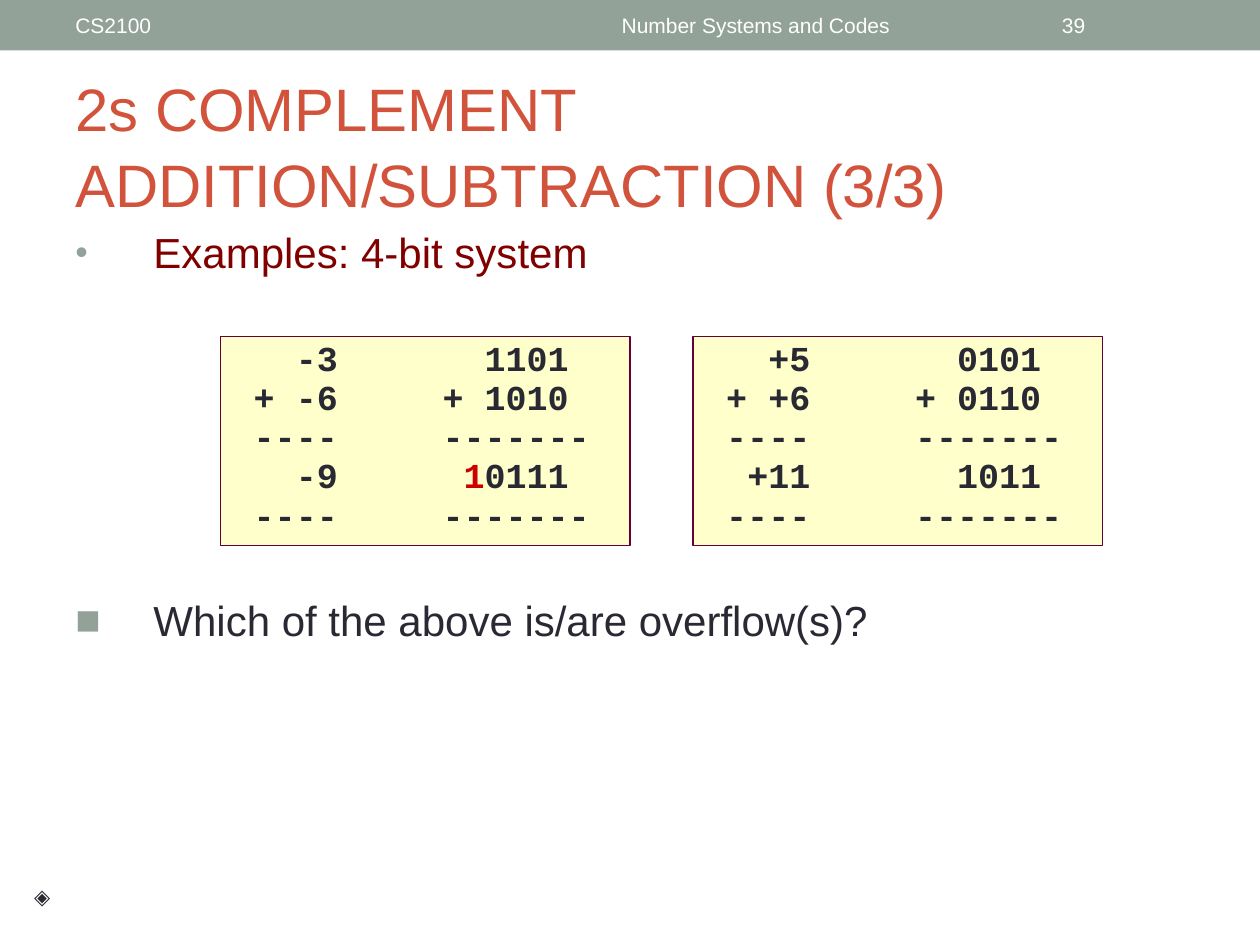
from lxml.etree import SubElement
from pptx import Presentation
from pptx.dml.color import RGBColor
from pptx.enum.shapes import MSO_SHAPE as SHAPE
from pptx.enum.text import MSO_ANCHOR as ANCHOR, PP_ALIGN as ALIGN
from pptx.oxml.ns import qn
from pptx.util import Inches, Pt

SAGE, INK, WHITE = "93A299", "292934", "FFFFFF"
CHAR = 1 / 6  # width in inches of one 20 pt Courier New character


def rgb(value):
    return RGBColor.from_string(value)


class SlideBuilder:
    sans = {"name": "Arial", "size": Pt(24), "bold": False}
    mono = {"name": "Courier New", "size": Pt(20), "bold": True}

    def __init__(self, prs):
        self.s = prs.slides.add_slide(prs.slide_layouts[6])

    def run(self, p, text, color, style):
        r = p.add_run()
        r.text = text
        for key, value in style.items():
            setattr(r.font, key, value)
        r.font.color.rgb = rgb(color)

    def frame(self, sp, anchor=ANCHOR.TOP, inset=None):
        tf = sp.text_frame
        tf.word_wrap = True
        tf.vertical_anchor = anchor
        if inset is not None:
            for side in ("left", "top", "right", "bottom"):
                setattr(tf, f"margin_{side}", Inches(inset))
        return tf

    def text(self, box, text, color, size, align=ALIGN.LEFT,
             anchor=ANCHOR.MIDDLE, inset=None, spacing=1.0):
        sp = self.s.shapes.add_textbox(*map(Inches, box))
        p = self.frame(sp, anchor, inset).paragraphs[0]
        p.alignment, p.line_spacing = align, spacing
        for i, line in enumerate(text.split("\n")):
            if i:
                p.add_line_break()
            self.run(p, line, color, {**self.sans, "size": Pt(size)})
        return p

    def bullet(self, box, text, color, mark, percent):
        p = self.text(box, text, color, 24, anchor=ANCHOR.TOP)
        pPr = p._p.get_or_add_pPr()
        pPr.set("marL", str(Inches(0.62)))
        pPr.set("indent", str(Inches(-0.62)))
        clr = SubElement(pPr, qn("a:buClr"))
        SubElement(clr, qn("a:srgbClr"), val=SAGE)
        SubElement(pPr, qn("a:buSzPct"), val=str(percent * 1000))
        SubElement(pPr, qn("a:buFont"), typeface="Arial")
        SubElement(pPr, qn("a:buChar"), char=mark)

    def rect(self, box, fill, line=None):
        sp = self.s.shapes.add_shape(SHAPE.RECTANGLE, *map(Inches, box))
        sp.shadow.inherit = False
        sp.fill.solid()
        sp.fill.fore_color.rgb = rgb(fill)
        if line:
            sp.line.color.rgb = rgb(line)
            sp.line.width = Pt(1)
        else:
            sp.line.fill.background()
        return sp

    def sum_box(self, left, rows):
        """Draw a decimal sum beside its binary form, aligned on right tabs."""
        sp = self.rect((left, 2.67, 3.25, 1.66), "FFFFCC", "660033")
        tf = self.frame(sp)
        for i, (decimal, carry, binary) in enumerate(rows):
            p = tf.paragraphs[0] if i == 0 else tf.add_paragraph()
            p.alignment, p.line_spacing = ALIGN.LEFT, 0.85
            p.space_before = Pt(2 if i else 0)
            tabs = SubElement(p._p.get_or_add_pPr(), qn("a:tabLst"))
            for column in (5, 17 if binary == RULE[2] else 16):
                SubElement(tabs, qn("a:tab"), algn="r",
                           pos=str(Inches(column * CHAR)))
            self.run(p, f"\t{decimal}\t", INK, self.mono)
            if carry:
                self.run(p, carry, "CC0000", self.mono)
            self.run(p, binary, INK, self.mono)


RULE = ("----", "", "-------")
SUMS = [
    [("-3", "", "1101"), ("+ -6", "", "+ 1010"), RULE,
     ("-9", "1", "0111"), RULE],
    [("+5", "", "0101"), ("+ +6", "", "+ 0110"), RULE,
     ("+11", "", "1011"), RULE],
]


def main():
    prs = Presentation()
    prs.slide_width, prs.slide_height = Inches(10), Inches(7.5)
    b = SlideBuilder(prs)

    b.rect((0, 0, 10, 0.4), SAGE)
    for left, width, text, align in [
        (0.5, 3.17, "CS2100", ALIGN.LEFT),
        (3.75, 4.5, "Number Systems and Codes", ALIGN.CENTER),
        (8.33, 1.17, "39", ALIGN.LEFT),
    ]:
        b.text((left, 0.02, width, 0.36), text, WHITE, 12, align)

    b.text((0.5, 0.6, 9, 1.08), "2s COMPLEMENT\nADDITION/SUBTRACTION (3/3)",
           "D2533C", 34.2, spacing=1.05)
    b.bullet((0.5, 1.75, 9, 0.58), "Examples: 4-bit system",
             "800000", "•", 85)
    b.bullet((0.5, 4.67, 9, 0.75), "Which of the above is/are overflow(s)?",
             INK, "■", 100)
    for i, rows in enumerate(SUMS):
        b.sum_box(1.75 + 3.75 * i, rows)
    b.text((0.17, 7, 0.33, 0.22), "◈", INK, 12, ALIGN.CENTER,
           ANCHOR.TOP, 0.01)

    prs.save("out.pptx")


if __name__ == "__main__":
    main()
